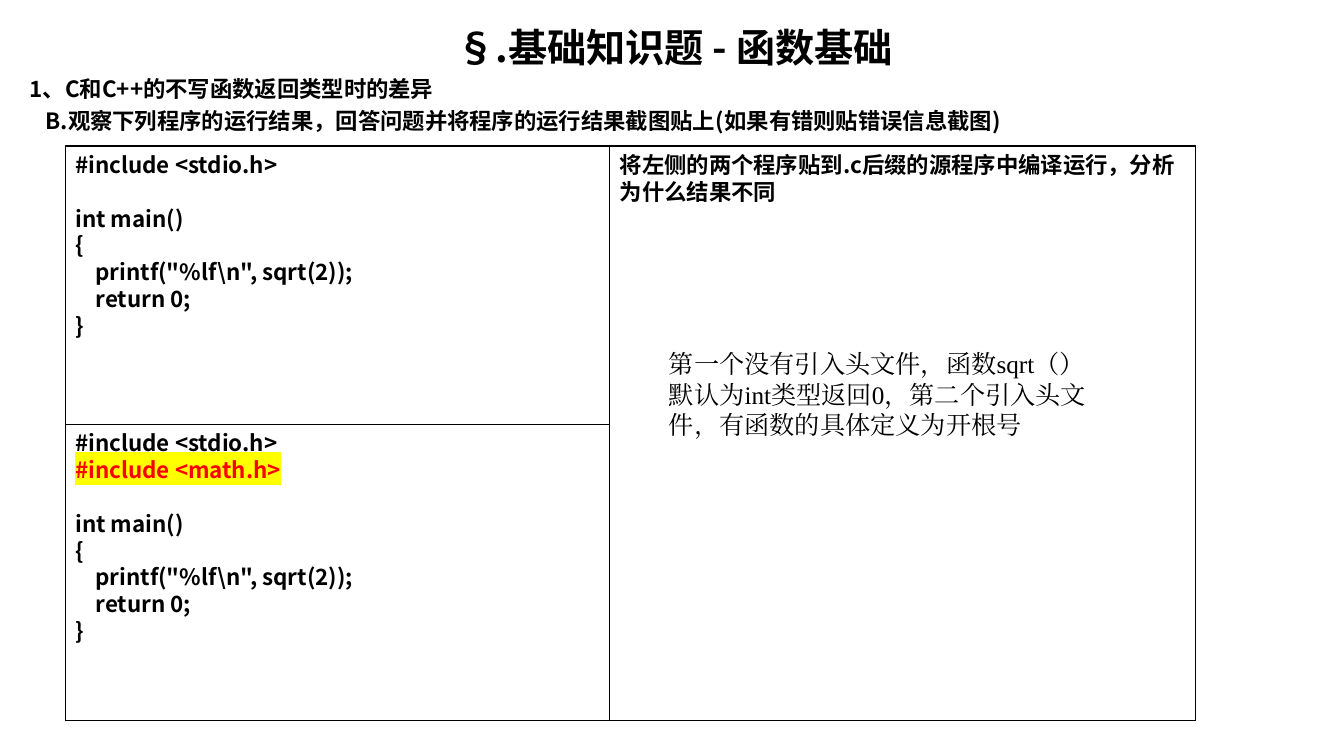
"""Build a slide comparing two C programs, with and without math.h."""
from lxml import etree
from pptx import Presentation
from pptx import util as u
from pptx.dml.color import RGBColor
from pptx.enum import shapes, text
from pptx.oxml.ns import qn

COLORS = {"text": "000000", "line": "000000", "new": "FF0000", "mark": "FFFF00"}
SANS, SERIF = "Noto Sans CJK SC", "Times New Roman"


def write(sp, lines, size=16, font=SANS, bold=True):
    """Fill a shape with left-aligned lines of one style."""
    tf = sp.text_frame
    tf.word_wrap = True
    tf.vertical_anchor = text.MSO_ANCHOR.TOP
    for i, line in enumerate(lines):
        p = tf.paragraphs[0] if i == 0 else tf.add_paragraph()
        p.text = line
        p.alignment = text.PP_ALIGN.LEFT
        r = p.runs[0]
        r.font.name, r.font.bold = font, bold
        r.font.color.rgb = RGBColor.from_string(COLORS["text"])
        etree.SubElement(r.font._element, qn("a:ea"), typeface=font)
        set_size(p, size)
    return tf.paragraphs


def set_size(p, size):
    """Set the text size and a line pitch of 1.2 times that size."""
    p.runs[0].font.size = u.Pt(size)
    p.line_spacing = u.Pt(size * 1.2)


prs = Presentation()
prs.slide_width, prs.slide_height = u.Cm(33.87), u.Cm(19.05)
s = prs.slides.add_slide(prs.slide_layouts[6])

heading = s.shapes.add_textbox(u.Cm(0.5), u.Cm(0.46), u.Cm(33), u.Cm(18))
title, topic, task = write(heading, [
    "§.基础知识题 - 函数基础",
    "1、C和C++的不写函数返回类型时的差异",
    "B.观察下列程序的运行结果，回答问题并将程序的运行结果截图贴上(如果有错则贴错误信息截图)",
])
title.alignment = text.PP_ALIGN.CENTER
set_size(title, 28)
for p in (topic, task):
    p.space_before = u.Pt(3.6)
task._p.get_or_add_pPr().set("marL", str(u.Cm(0.4)))

main_code = ["int main()", "{", r'    printf("%lf\n", sqrt(2));', "    return 0;", "}"]
left, top, middle, split, right, bottom = 1.65, 3.68, 15.37, 10.69, 30.12, 18.16
boxes = [
    (left, top, right, ["#include <stdio.h>"] + main_code),
    (middle, top, right, ["将左侧的两个程序贴到.c后缀的源程序中编译运行，分析为什么结果不同"]),
    (left, split, middle, ["#include <stdio.h>", "#include <math.h>"] + main_code),
]
for x, y, x_end, lines in boxes:
    sp = s.shapes.add_shape(shapes.MSO_SHAPE.RECTANGLE, u.Cm(x), u.Cm(y),
                            u.Cm(x_end - x), u.Cm(bottom - y))
    sp.shadow.inherit = False
    sp.fill.background()
    sp.line.color.rgb = RGBColor.from_string(COLORS["line"])
    sp.line.width = u.Pt(0.75)
    for p in write(sp, lines):
        if p.text == "int main()":
            p.space_before = u.Pt(19.2)
        elif p.text == "#include <math.h>":
            r = p.runs[0]
            r.font.color.rgb = RGBColor.from_string(COLORS["new"])
            mark = etree.Element(qn("a:highlight"))
            etree.SubElement(mark, qn("a:srgbClr"), val=COLORS["mark"])
            r.font._element.find(qn("a:latin")).addprevious(mark)

answer = s.shapes.add_textbox(u.Cm(16.61), u.Cm(8.66), u.Cm(11.4), u.Cm(2.57))
write(answer, ["第一个没有引入头文件，函数sqrt（）默认为int类型返回0，第二个引入头文件，有函数的具体定义为开根号"],
      18, SERIF, False)

prs.save("out.pptx")
